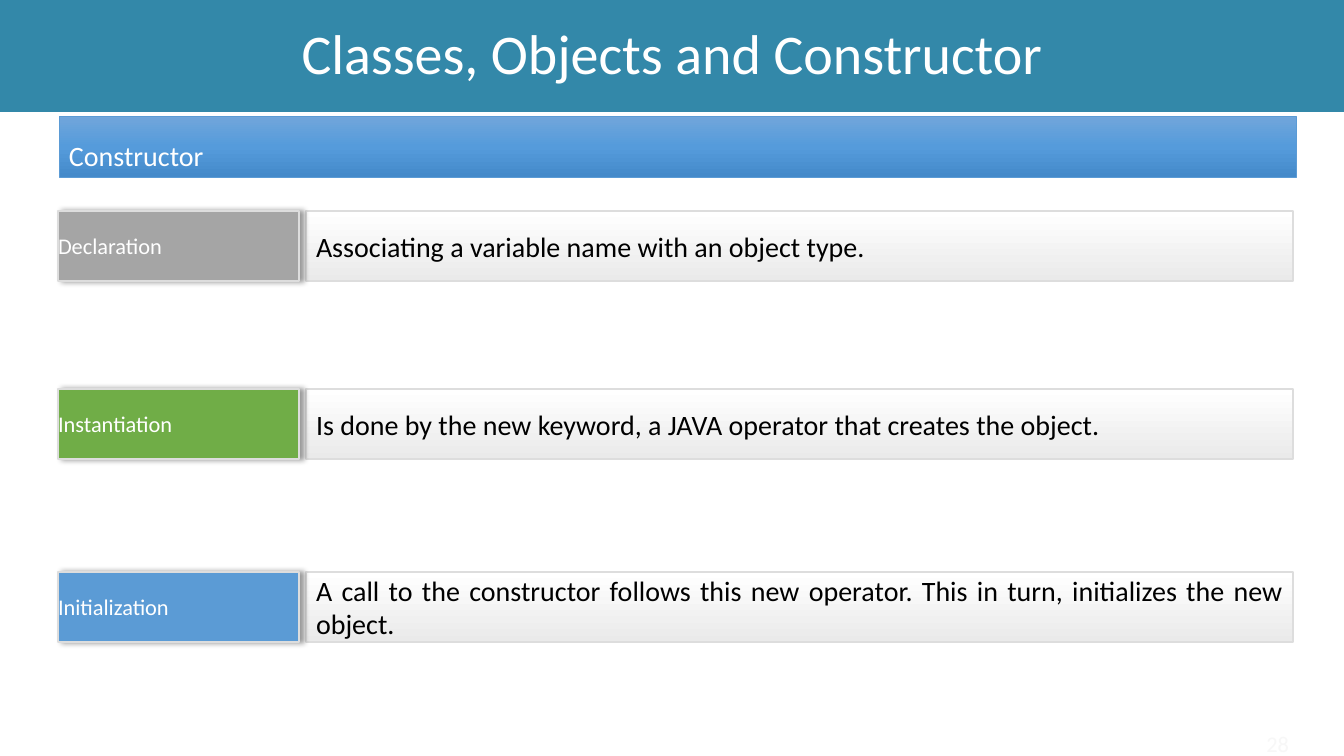
from pptx import Presentation
from pptx.dml.color import RGBColor as Rgb
from pptx.enum.shapes import MSO_SHAPE as Shape
from pptx.enum.text import MSO_ANCHOR as Anchor, MSO_AUTO_SIZE as Fit, PP_ALIGN as Align
from pptx.oxml import parse_xml
from pptx.oxml.ns import nsdecls
from pptx.util import Emu, Pt

SCALE = 914400 / 100.8
WIDE, HIGH = 1344, 756
FONT = "Calibri"
HUES = {
    "title": "3388A9", "white": "FFFFFF", "black": "000000",
    "edge": "DDDDDD", "fade": "EAEAEA", "faint": "F7F7F7",
    "blue": "5B9BD5", "green": "70AD47", "gray": "A5A5A5",
    "top": "71A6DB", "mid": "559BDB", "low": "448ACA",
}
STEPS = [
    (211, "gray", "Declaration", "Associating a variable name with an object type."),
    (389, "green", "Instantiation",
     "Is done by the new keyword, a JAVA operator that creates the object."),
    (572, "blue", "Initialization",
     "A call to the constructor follows this new operator. "
     "This in turn, initializes the new object."),
]


def px(num):
    """Turn pixels into EMU."""
    return Emu(round(num * SCALE))


def hue(name):
    """Look up a colour by name."""
    return Rgb.from_string(HUES[name])


def write(shape, text, size=20, color="white", align=Align.LEFT, lead=None, inset=(10, 5)):
    """Put formatted text in a shape."""
    frame = shape.text_frame
    frame.word_wrap = True
    frame.auto_size = Fit.NONE
    frame.vertical_anchor = Anchor.MIDDLE
    frame.margin_left = frame.margin_right = px(inset[0])
    frame.margin_top = frame.margin_bottom = px(inset[1])
    frame.text = text
    para = frame.paragraphs[0]
    para.alignment = align
    if lead:
        para.line_spacing = lead
    para.font.name = FONT
    para.font.size = Pt(size)
    para.font.color.rgb = hue(color)


def blend(shape, *names):
    """Fill a shape with evenly spaced colours from top to bottom."""
    gap = 100000 // (len(names) - 1)
    stops = "".join(
        f'<a:gs pos="{i * gap}"><a:srgbClr val="{HUES[name]}"/></a:gs>'
        for i, name in enumerate(names))
    geom = shape.element.spPr.find("{*}prstGeom")
    geom.addnext(parse_xml(
        f'<a:gradFill {nsdecls("a")} rotWithShape="1"><a:gsLst>{stops}</a:gsLst>'
        '<a:lin ang="5400000" scaled="0"/></a:gradFill>'))


def shade(shape):
    """Give a shape a soft shadow on its right."""
    shape.element.spPr.find("{*}effectLst").append(parse_xml(
        f'<a:outerShdw {nsdecls("a")} blurRad="{Pt(4)}" dist="{Pt(3)}" dir="0" '
        f'algn="ctr" rotWithShape="0"><a:srgbClr val="{HUES["black"]}">'
        '<a:alpha val="40000"/></a:srgbClr></a:outerShdw>'))


def panel(slide, box, fills, edge="edge", width=1):
    """Draw a rectangle with one fill colour or a blend."""
    shape = slide.shapes.add_shape(Shape.RECTANGLE, *map(px, box))
    shape.shadow.inherit = False
    if len(fills) > 1:
        blend(shape, *fills)
    else:
        shape.fill.solid()
        shape.fill.fore_color.rgb = hue(fills[0])
    shape.line.color.rgb = hue(edge)
    shape.line.width = Pt(width)
    return shape


def head(slide, box):
    """Place the title bar."""
    title = slide.shapes.title
    title.left, title.top, title.width, title.height = map(px, box)
    title.fill.solid()
    title.fill.fore_color.rgb = hue("title")
    write(title, "Classes, Objects and Constructor", size=40, align=Align.CENTER, lead=0.9)


def banner(slide, box):
    """Place the topic banner."""
    bar = panel(slide, box, ["top", "mid", "low"], edge="blue", width=0.5)
    write(bar, "Constructor", lead=1.5)


def step(slide, box, color, label, text):
    """Place a label and its meaning side by side."""
    left, top, width, height = box
    side, gap = 241, 7
    start = side + gap
    note = panel(slide, (left + start, top, width - start, height), ["white", "fade"])
    write(note, text, color="black", align=Align.JUSTIFY, inset=(10, 10))
    tag = panel(slide, (left, top, side, height), [color])
    shade(tag)
    write(tag, label, size=16, inset=(0, 0))


def foot(slide, box):
    """Place the page number."""
    page = slide.shapes.add_textbox(*map(px, box))
    write(page, "28", size=16, color="faint", align=Align.RIGHT, inset=(0, 0))


def main():
    """Build and save the slide."""
    deck = Presentation()
    deck.slide_width, deck.slide_height = px(WIDE), px(HIGH)
    slide = deck.slides.add_slide(deck.slide_layouts[5])
    head(slide, (0, 0, WIDE, 112))
    banner(slide, (59, 116, 1237, 61))
    for top, *parts in STEPS:
        step(slide, (58, top, 1235, 70), *parts)
    foot(slide, (1240, 731, 49, 25))
    deck.save("out.pptx")


if __name__ == "__main__":
    main()
